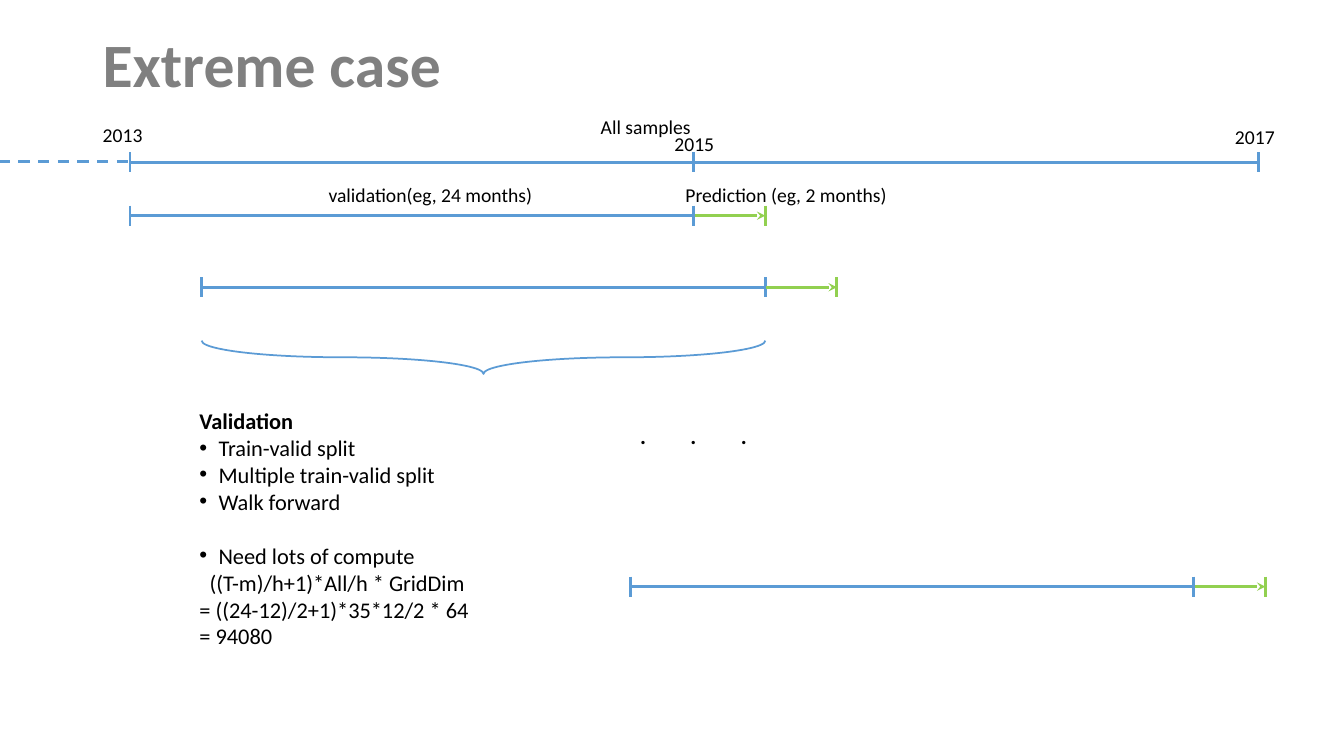
"""Build the walk-forward validation timeline slide."""
import pptx
import pptx.util
import pptx.dml.color
import pptx.enum.dml
import pptx.enum.shapes
import pptx.enum.text
import pptx.oxml.ns
import lxml.etree

Inches = pptx.util.Inches
Pt = pptx.util.Pt
RGBColor = pptx.dml.color.RGBColor
qn = pptx.oxml.ns.qn

BLUE = RGBColor(0x5B, 0x9B, 0xD5)
GREEN = RGBColor(0x92, 0xD0, 0x50)
GRAY = RGBColor(0x80, 0x80, 0x80)
BLACK = RGBColor(0, 0, 0)
FONT = "Calibri"
WINDOW = 5.59
HORIZON = 0.71


def add_line(s, x1, y1, x2, y2, color=BLUE, arrow=False, dashed=False):
    """Draw a straight line, optionally dashed or with an arrowhead."""
    line = s.shapes.add_connector(
        pptx.enum.shapes.MSO_CONNECTOR.STRAIGHT,
        Inches(x1), Inches(y1), Inches(x2), Inches(y2))
    line.line.color.rgb = color
    line.line.width = Pt(2)
    if dashed:
        line.line.dash_style = pptx.enum.dml.MSO_LINE.DASH
    if arrow:
        ln = line.line._get_or_add_ln()
        lxml.etree.SubElement(ln, qn("a:tailEnd"), type="stealth")
    lxml.etree.SubElement(line._element.spPr, qn("a:effectLst"))


def add_tick(s, x, y, color=BLUE):
    """Draw a short vertical mark centred on a timeline."""
    add_line(s, x, y - 0.1, x, y + 0.1, color)


def add_window(s, x, y):
    """Draw one validation window followed by its prediction horizon."""
    end = x + WINDOW
    add_line(s, x, y, end, y)
    add_tick(s, x, y)
    add_tick(s, end, y)
    add_line(s, end + 0.01, y, end + HORIZON, y, GREEN, arrow=True)
    add_tick(s, end + HORIZON, y, GREEN)


def add_text(s, x, y, w, h, lines, size=14, color=BLACK, bold=False):
    """Add a wrapped text box and return its text frame."""
    tf = s.shapes.add_textbox(Inches(x), Inches(y), Inches(w), Inches(h)).text_frame
    tf.word_wrap = True
    tf.text = "\n".join(lines)
    for p in tf.paragraphs:
        for r in p.runs:
            r.font.name = FONT
            r.font.size = Pt(size)
            r.font.color.rgb = color
            r.font.bold = bold
    return tf


def set_indent(p, left, first=0.0):
    """Set the left margin and first-line indent of a paragraph."""
    pPr = p._p.get_or_add_pPr()
    pPr.set("marL", str(Inches(left)))
    pPr.set("indent", str(Inches(first)))
    return pPr


def add_bullet(p):
    """Give a paragraph a round bullet with a hanging indent."""
    pPr = set_indent(p, 0.19, -0.19)
    lxml.etree.SubElement(pPr, qn("a:buFont"), typeface="Arial")
    lxml.etree.SubElement(pPr, qn("a:buChar"), char="•")


def add_title(s):
    """Add the slide title."""
    tf = add_text(s, 0.92, 0.4, 11.5, 0.54, ["Extreme case"], 44, GRAY, True)
    tf.vertical_anchor = pptx.enum.text.MSO_ANCHOR.MIDDLE
    tf.paragraphs[0].line_spacing = 0.9


def add_brace(s):
    """Draw the downward brace under the second window."""
    sp = s.shapes.add_shape(
        pptx.enum.shapes.MSO_SHAPE.RIGHT_BRACE,
        Inches(4.63), Inches(0.75), Inches(0.33), Inches(WINDOW))
    sp.rotation = 90
    sp.adjustments[0] = 4.267
    sp.shadow.inherit = False
    sp.fill.background()
    sp.line.color.rgb = BLUE
    sp.line.width = Pt(1.25)


def add_validation_notes(s):
    """Add the list of validation schemes and the compute estimate."""
    bullets = ["Train-valid split", "Multiple train-valid split",
               "Walk forward", "Need lots of compute"]
    formula = ["((T-m)/h+1)*All/h * GridDim",
               "= ((24-12)/2+1)*35*12/2 * 64", "= 94080"]
    tf = add_text(s, 1.88, 3.99, 4.36, 3.33, ["Validation"] + bullets + formula, 16)
    heading, *rest = tf.paragraphs
    heading.runs[0].font.bold = True
    rest[3].space_before = Pt(19.5)
    for p in rest[:4]:
        add_bullet(p)
    set_indent(rest[4], 0.1)


def add_ellipsis(s):
    """Add three spaced dots that stand for the windows in between."""
    tf = add_text(s, 6.25, 4.14, 4.36, 0.64, [".\t.\t."], 16, bold=True)
    pPr = set_indent(tf.paragraphs[0], 0)
    tabs = lxml.etree.SubElement(pPr, qn("a:tabLst"))
    for pos in (0.26, 0.57):
        lxml.etree.SubElement(tabs, qn("a:tab"), pos=str(Inches(pos)), algn="l")


def main():
    """Build and save the slide."""
    prs = pptx.Presentation()
    prs.slide_width = Inches(13.33)
    prs.slide_height = Inches(7.5)
    s = prs.slides.add_slide(prs.slide_layouts[6])

    add_title(s)
    add_line(s, -0.21, 1.6, 1.29, 1.6, dashed=True)
    add_line(s, 1.29, 1.61, 12.48, 1.61)
    for x in (1.29, 6.88, 12.48):
        add_tick(s, x, 1.61)
    for x, y in ((1.29, 2.14), (2, 2.85), (6.25, 5.82)):
        add_window(s, x, y)

    for text, x, y, w in (
            ("All samples", 5.86, 1.09, 2.34),
            ("2013", 0.92, 1.17, 0.85),
            ("2015", 6.59, 1.26, 0.85),
            ("2017", 12.15, 1.19, 0.85),
            ("validation(eg, 24 months)", 3.16, 1.77, 3.81),
            ("Prediction (eg, 2 months)", 6.7, 1.77, 3.81)):
        add_text(s, x, y, w, 0.34, [text])

    add_brace(s)
    add_validation_notes(s)
    add_ellipsis(s)
    prs.save("out.pptx")


if __name__ == "__main__":
    main()
